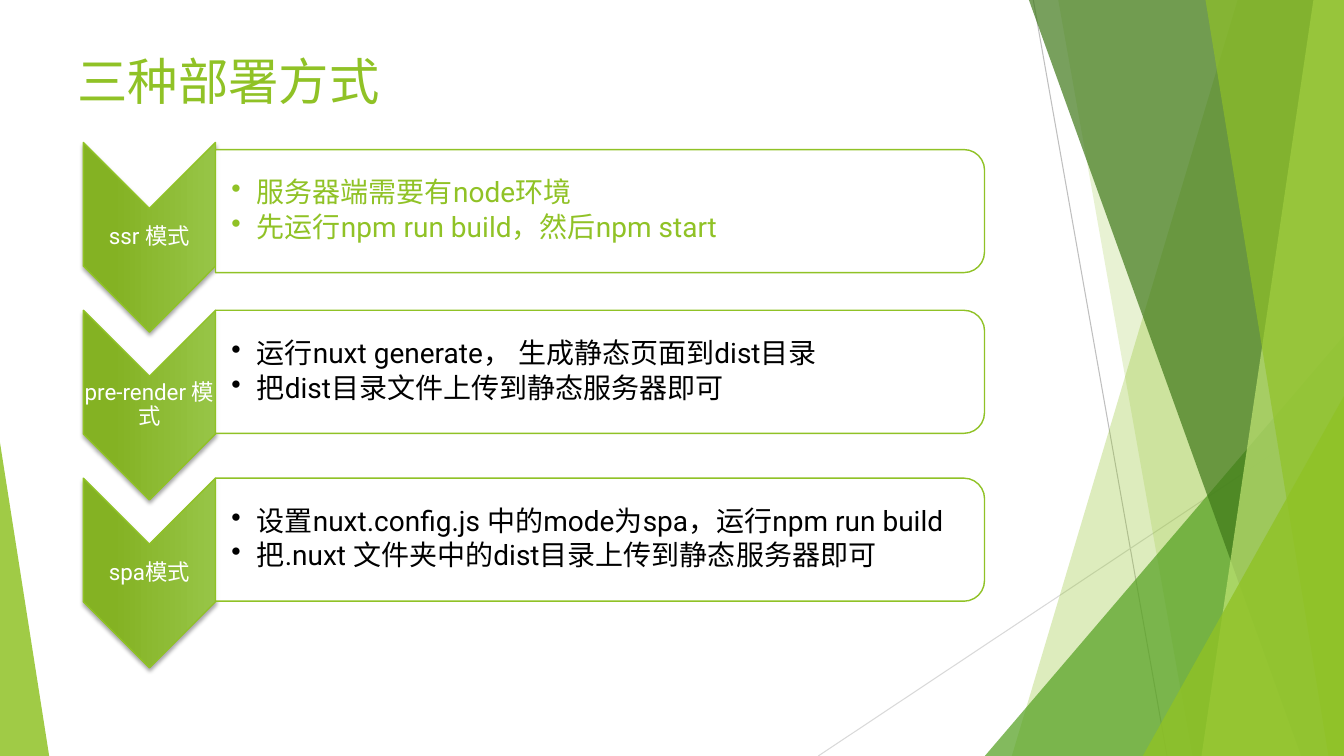
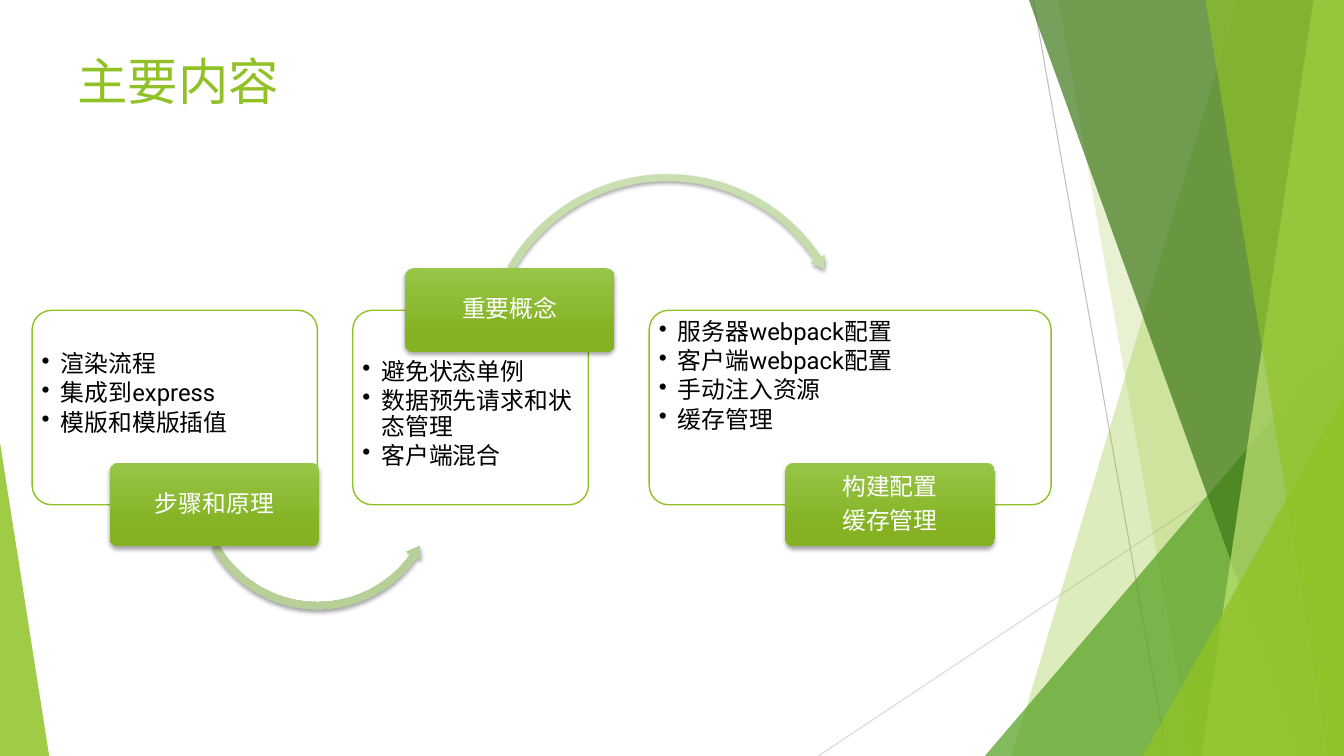
from lxml import etree
from pptx import Presentation
from pptx.dml.color import RGBColor
from pptx.enum.shapes import MSO_CONNECTOR, MSO_SHAPE
from pptx.enum.text import MSO_ANCHOR, PP_ALIGN
from pptx.oxml.ns import qn
from pptx.util import Cm, Pt

TRIANGLE = MSO_SHAPE.ISOSCELES_TRIANGLE
CHEVRON = MSO_SHAPE.CHEVRON
TAB_CARD = MSO_SHAPE.ROUND_2_SAME_RECTANGLE
ROUNDED = MSO_SHAPE.ROUNDED_RECTANGLE
ARC_OVER = MSO_SHAPE.CIRCULAR_ARROW
ARC_UNDER = MSO_SHAPE.LEFT_CIRCULAR_ARROW
STRAIGHT = MSO_CONNECTOR.STRAIGHT
TOP, MIDDLE = MSO_ANCHOR.TOP, MSO_ANCHOR.MIDDLE
LEFT, CENTER = PP_ALIGN.LEFT, PP_ALIGN.CENTER

GREEN = RGBColor(0x90, 0xC2, 0x26)
MID_GREEN = RGBColor(0x54, 0xA0, 0x21)
DARK_GREEN = RGBColor(0x3F, 0x78, 0x19)
LIME = RGBColor(0xC0, 0xE4, 0x74)
WHITE = RGBColor(0xFF, 0xFF, 0xFF)
BLACK = RGBColor(0, 0, 0)
GREY = RGBColor(0xBF, 0xBF, 0xBF)
PALE_GREY = RGBColor(0xD9, 0xD9, 0xD9)
BLOCK_SHADES = (RGBColor(0x97, 0xC5, 0x47), RGBColor(0x84, 0xB2, 0x23))
ARC_SHADES = (RGBColor(0xC9, 0xDF, 0xB1), RGBColor(0xB6, 0xD0, 0x98))

BODY_FONT, TITLE_FONT = "Roboto", "Noto Sans CJK SC"
WIDTH, HEIGHT = 33.87, 19.05

# Backdrop, back to front: bands (top x, bottom x) reach the right edge,
# wedges (left, top, right, apex) stand on the bottom edge.
BACKDROP_LINES = [((26.04, 0), (29.41, HEIGHT), GREY),
                  ((WIDTH, 10.24), (20.62, HEIGHT), PALE_GREY)]
BACKDROP = [
    ("band", (31.19, 25.5), GREEN, 30),
    ("band", (26.67, 30.05), GREEN, 20),
    ("wedge", (24.82, 8.46, WIDTH, 1), MID_GREEN, 72),
    ("band", (25.93, 32.79), DARK_GREEN, 70),
    ("band", (33.1, 30.28), LIME, 70),
    ("band", (30.38, 33.48), GREEN, 65),
    ("wedge", (28.8, 9.98, WIDTH, 1), GREEN, 80),
    ("wedge", (0, 11.15, 1.24, 0), GREEN, 85),
]

MODES = [
    ("ssr 模式", GREEN, 0.18,
     ["服务器端需要有node环境", "先运行npm run build，然后npm start"]),
    ("pre-render 模式", BLACK, 0,
     ["运行nuxt generate， 生成静态页面到dist目录",
      "把dist目录文件上传到静态服务器即可"]),
    ("spa模式", BLACK, 0,
     ["设置nuxt.config.js 中的mode为spa，运行npm run build",
      "把.nuxt 文件夹中的dist目录上传到静态服务器即可"]),
]

# Card: left, width, top margin of its text; button: offset from the card.
TOPICS = [
    dict(card=(0.81, 7.19, 0.91), button=(1.96, 3.84), heading=["步骤和原理"],
         points=["渲染流程", "集成到express", "模版和模版插值"],
         arc=(ARC_UNDER, (4.83, 9.12, 6.35, 6.35),
              (0.028, 3.45, 21.205, 90.245, 0.033))),
    dict(card=(8.89, 5.94, 1.1), button=(1.32, -1.06), heading=["重要概念"],
         points=["避免状态单例", "数据预先请求和状态管理", "客户端混合"],
         arc=(ARC_OVER, (12.07, 4.27, 9.5, 9.5),
              (0.019, 2.253, 195.992, 125.755, 0.022))),
    dict(card=(16.36, 10.13, 0.1), button=(3.43, 3.84),
         heading=["构建配置", "缓存管理"],
         points=["服务器webpack配置", "客户端webpack配置", "手动注入资源", "缓存管理"],
         arc=None),
]


def paint(shape, color, alpha=100, line=None):
    """Give a flat fill, an optional 1 pt outline and no shadow."""
    shape.shadow.inherit = False
    shape.fill.solid()
    shape.fill.fore_color.rgb = color
    if alpha < 100:
        solid = shape.element.spPr.find(qn("a:solidFill"))
        etree.SubElement(solid[0], qn("a:alpha"), val=str(alpha * 1000))
    outline(shape, line)


def outline(shape, color):
    if color is None:
        shape.line.fill.background()
    else:
        shape.line.color.rgb = color
        shape.line.width = Pt(1)


def paint_raised(shape, shades, line=None):
    """Give a gradient from top to bottom and a soft shadow below."""
    shape.fill.gradient()
    shape.fill.gradient_angle = 270
    for stop, shade, position in zip(shape.fill.gradient_stops, shades, (0, 0.78)):
        stop.color.rgb = shade
        stop.position = position
    outline(shape, line)
    shape.shadow.inherit = False
    effects = shape.element.spPr.find(qn("a:effectLst"))
    shadow = etree.SubElement(effects, qn("a:outerShdw"), blurRad=str(Pt(3)),
                              dist=str(Pt(2)), dir="5400000", rotWithShape="0")
    black = etree.SubElement(shadow, qn("a:srgbClr"), val=str(BLACK))
    etree.SubElement(black, qn("a:alpha"), val="35000")


def write(shape, lines, size, color, font=BODY_FONT, margins=(0, 0, 0, 0),
          anchor=MIDDLE, align=CENTER, spacing=0.9, after=0.35, indent=None):
    """Fill a shape with paragraphs; an indent in cm makes them bullets."""
    frame = shape.text_frame
    left, top, right, bottom = map(Cm, margins)
    frame_format = dict(word_wrap=True, vertical_anchor=anchor, margin_left=left,
                        margin_top=top, margin_right=right, margin_bottom=bottom)
    for name, value in frame_format.items():
        setattr(frame, name, value)
    frame.text = "\n".join(lines)
    paragraph_format = dict(alignment=align, line_spacing=spacing,
                            space_after=Pt(round(size * after, 1)))
    for paragraph in frame.paragraphs:
        for name, value in paragraph_format.items():
            setattr(paragraph, name, value)
        for run in paragraph.runs:
            run.font.size = Pt(size)
            run.font.color.rgb = color
            run.font.name = font
    for properties in shape.element.iter(qn("a:rPr")):
        etree.SubElement(properties, qn("a:ea"), typeface=font)
    if indent:
        for properties in shape.element.iter(qn("a:pPr")):
            properties.set("marL", str(Cm(indent)))
            properties.set("indent", str(-Cm(indent)))
            etree.SubElement(properties, qn("a:buChar"), char="•")


def add_box(slide, kind, box):
    return slide.shapes.add_shape(kind, *map(Cm, box))


def add_turned(slide, kind, box):
    """Add a shape turned by 90 degrees that covers the given box."""
    left, top, width, height = box
    shift = (width - height) / 2
    shape = add_box(slide, kind, (left + shift, top - shift, height, width))
    shape.rotation = 90
    return shape


def add_text(slide, box, lines, size, color, **text_format):
    write(slide.shapes.add_textbox(*map(Cm, box)), lines, size, color, **text_format)


def add_band(slide, top_x, bottom_x):
    builder = slide.shapes.build_freeform(Cm(top_x), 0)
    corners = [(WIDTH, 0), (WIDTH, HEIGHT), (bottom_x, HEIGHT)]
    builder.add_line_segments([(Cm(x), Cm(y)) for x, y in corners], close=True)
    return builder.convert_to_shape()


def add_wedge(slide, left, top, right, apex):
    wedge = add_box(slide, TRIANGLE, (left, top, right - left, HEIGHT - top))
    wedge.adjustments[0] = apex
    return wedge


def add_backdrop(slide):
    for start, end, color in BACKDROP_LINES:
        line = slide.shapes.add_connector(STRAIGHT, *map(Cm, start + end))
        line.line.color.rgb = color
        line.line.width = Pt(0.75)
        etree.SubElement(line.element.spPr, qn("a:effectLst"))
    builders = {"band": add_band, "wedge": add_wedge}
    for kind, geometry, color, alpha in BACKDROP:
        paint(builders[kind](slide, *geometry), color, alpha)


def add_titled_slide(deck, title):
    slide = deck.slides.add_slide(deck.slide_layouts[6])
    add_backdrop(slide)
    add_text(slide, (1.7, 1.12, 20, 1.8), [title], 36, GREEN, font=TITLE_FONT,
             margins=(0.25, 0.13, 0.25, 0.13), align=LEFT, spacing=1, after=0)
    return slide


def add_mode(slide, left, top, mode):
    """Add a chevron with its name and the card of steps to its right."""
    name, color, card_drop, steps = mode
    chevron_box = (left, top, 3.33, 4.78)
    card_box = (left + 3.33, top + card_drop, 19.38, 3.1)
    paint_raised(add_turned(slide, CHEVRON, chevron_box), BLOCK_SHADES, GREEN)
    add_text(slide, chevron_box, [name], 16, WHITE, margins=(0.03,) * 4)
    paint(add_turned(slide, TAB_CARD, card_box), WHITE, 90, GREEN)
    add_text(slide, card_box, steps, 20, color, margins=(0.4, 0.03, 0.18, 0.03),
             align=LEFT, after=0.15, indent=0.64)


def add_topic(slide, top, topic):
    """Add a card of points, the arc to the next topic and the heading button."""
    left, width, text_top = topic["card"]
    card = add_box(slide, ROUNDED, (left, top, width, 4.9))
    card.adjustments[0] = 0.1
    paint(card, WHITE, 90, GREEN)
    write(card, topic["points"], 17, BLACK, margins=(0.1, text_top, 0.1, 0.1),
          anchor=TOP, align=LEFT, after=0.15, indent=0.48)
    if topic["arc"]:
        kind, box, bends = topic["arc"]
        arc = add_box(slide, kind, box)
        for index, bend in enumerate(bends):
            arc.adjustments[index] = bend
        paint_raised(arc, ARC_SHADES)
    across, down = topic["button"]
    button = add_box(slide, ROUNDED, (left + across, top + down, 5.28, 2.11))
    button.adjustments[0] = 0.1
    paint_raised(button, BLOCK_SHADES)
    write(button, topic["heading"], 17, WHITE, margins=(0.1, 0.05, 0.1, 0.05))


def add_modes_slide(deck):
    slide = add_titled_slide(deck, "三种部署方式")
    for row, mode in enumerate(MODES):
        add_mode(slide, 2.1, 3.59 + row * 4.23, mode)


def add_topics_slide(deck):
    slide = add_titled_slide(deck, "主要内容")
    for topic in TOPICS:
        add_topic(slide, 7.82, topic)


def main():
    deck = Presentation()
    deck.slide_width, deck.slide_height = Cm(WIDTH), Cm(HEIGHT)
    add_modes_slide(deck)
    add_topics_slide(deck)
    deck.save("out.pptx")


if __name__ == "__main__":
    main()
